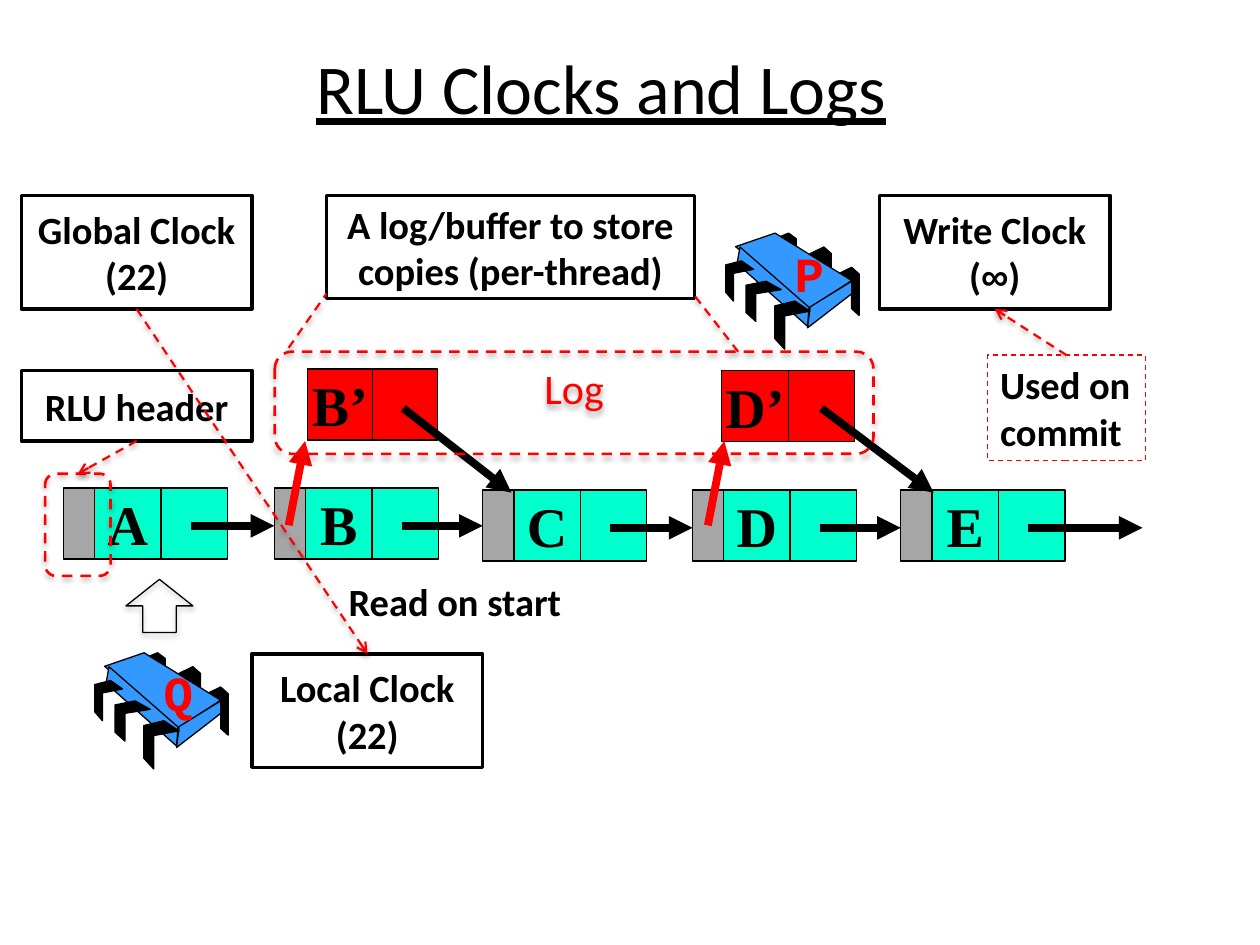
"""Build the slide that explains RLU clocks and logs."""
from dataclasses import dataclass
from typing import Optional

from lxml import etree
from pptx import Presentation
from pptx.dml.color import RGBColor
from pptx.enum.dml import MSO_LINE
from pptx.enum.shapes import MSO_CONNECTOR, MSO_SHAPE
from pptx.enum.text import MSO_ANCHOR, PP_ALIGN
from pptx.oxml.ns import qn
from pptx.util import Cm, Pt

BLACK = RGBColor(0x00, 0x00, 0x00)
RED = RGBColor(0xFF, 0x00, 0x00)
TEAL = RGBColor(0x00, 0xFF, 0xCC)
GRAY = RGBColor(0xA6, 0xA6, 0xA6)
BLUE = RGBColor(0x33, 0x99, 0xFF)

RECTANGLE, ROUNDED, UP_ARROW = MSO_SHAPE.RECTANGLE, MSO_SHAPE.ROUNDED_RECTANGLE, MSO_SHAPE.UP_ARROW
STRAIGHT, DASH = MSO_CONNECTOR.STRAIGHT, MSO_LINE.DASH
LEFT, CENTER = PP_ALIGN.LEFT, PP_ALIGN.CENTER
TOP, MIDDLE = MSO_ANCHOR.TOP, MSO_ANCHOR.MIDDLE
TOP_SIDE, BOTTOM_SIDE = 0, 2

HEADER_WIDTH, CELL_WIDTH, CELL_HEIGHT = 0.63, 1.34, 1.43
POINTER_X, POINTER_Y = 2.57, 0.76


@dataclass(frozen=True)
class Area:
    left: float
    top: float
    width: float
    height: float

    def lengths(self) -> tuple:
        return Cm(self.left), Cm(self.top), Cm(self.width), Cm(self.height)


@dataclass(frozen=True)
class TextStyle:
    size: float = 22
    name: str = "Calibri"
    color: RGBColor = BLACK
    bold: bool = True
    underline: bool = False
    alignment: int = CENTER
    anchor: int = MIDDLE
    wrap: bool = True


@dataclass(frozen=True)
class Outline:
    color: RGBColor = BLACK
    width: float = 0.75
    dashed: bool = False


@dataclass(frozen=True)
class ChipPart:
    points: tuple
    area: Area
    color: RGBColor = BLACK


@dataclass(frozen=True)
class Node:
    label: str
    left: float
    top: float
    pointer_end: float


BOX_STYLE = TextStyle()
NOTE_STYLE = TextStyle(alignment=LEFT, anchor=TOP, wrap=False)
NODE_STYLE = TextStyle(32, "Times New Roman", wrap=False)
CHIP_STYLE = TextStyle(28, "Courier New", RED, alignment=LEFT, anchor=TOP, wrap=False)
LOG_STYLE = TextStyle(24, color=RED, bold=False, anchor=TOP)
TITLE_STYLE = TextStyle(40, bold=False, underline=True)
THIN, BOX_LINE = Outline(), Outline(width=2)
RED_FRAME, RED_LINK = Outline(RED, 1.5, True), Outline(RED, 1.25, True)
POINTER, COPY_POINTER = Outline(width=4.5), Outline(RED, 4.5)

BACK_LEG = ((0, 0.14), (0.65, 0), (1, 0.14), (1, 1), (0.65, 0.86), (0.65, 0.28), (0, 0.42))
FRONT_LEG = ((0.57, 0), (1, 0.21), (0.28, 0.31), (0.28, 1), (0, 0.78), (0, 0.1))
CHIP_PARTS = (
    ChipPart(BACK_LEG, Area(2.26, 0.69, 0.43, 0.97)),
    ChipPart(BACK_LEG, Area(1.7, 0.28, 0.43, 0.97)),
    ChipPart(BACK_LEG, Area(0.99, 0, 0.43, 0.81)),
    ChipPart(((0.34, 0), (1, 0.63), (0.63, 1), (0, 0.18)), Area(0.2, 0, 2.34, 1.52), BLUE),
    ChipPart(((0.04, 0), (1, 0.76), (0.98, 1), (0, 0.21)), Area(0.23, 0.28, 1.45, 1.6), BLUE),
    ChipPart(((1, 0), (1, 0.27), (0, 1), (0.06, 0.55)), Area(1.65, 0.97, 0.89, 0.94), BLUE),
    ChipPart(FRONT_LEG, Area(0.99, 1.37, 0.71, 0.97)),
    ChipPart(FRONT_LEG, Area(0.41, 0.97, 0.71, 0.81)),
    ChipPart(FRONT_LEG, Area(0, 0.56, 0.56, 0.81)),
)
NODES = (
    Node("A", 1.28, 9.84, 5.53),
    Node("B", 5.53, 9.84, 9.73),
    Node("C", 9.73, 9.88, 13.96),
    Node("D", 13.96, 9.88, 18.16),
    Node("E", 18.16, 9.88, 23.03),
)


def write_text(shape, text: str, style: TextStyle) -> None:
    frame = shape.text_frame
    frame.word_wrap, frame.vertical_anchor = style.wrap, style.anchor
    for index, line in enumerate(text.split("\n")):
        paragraph = frame.add_paragraph() if index else frame.paragraphs[0]
        paragraph.alignment = style.alignment
        font = paragraph.font
        font.size, font.name = Pt(style.size), style.name
        font.bold, font.underline = style.bold, style.underline
        font.color.rgb = style.color
        for part in filter(None, line.partition("∞")):
            run = paragraph.add_run()
            run.text = part
            if part == "∞":
                run.font.name = "Arial"


def set_line(line, outline: Outline) -> None:
    line.color.rgb, line.width = outline.color, Pt(outline.width)
    if outline.dashed:
        line.dash_style = DASH


def add_shadow(effects, distance: int, alpha: int) -> None:
    shadow = etree.SubElement(effects, qn("a:outerShdw"), blurRad="40000", dist=str(distance),
                              dir="5400000", rotWithShape="0")
    color = etree.SubElement(shadow, qn("a:srgbClr"), val=str(BLACK))
    etree.SubElement(color, qn("a:alpha"), val=str(alpha))


def add_box(shapes, area: Area, outline: Outline, fill: Optional[RGBColor] = None, text: str = "",
            style: TextStyle = BOX_STYLE, kind: int = RECTANGLE, shadowed: bool = False):
    shape = shapes.add_shape(kind, *area.lengths())
    shape.shadow.inherit = False
    if fill is None:
        shape.fill.background()
    else:
        shape.fill.solid()
        shape.fill.fore_color.rgb = fill
    set_line(shape.line, outline)
    if shadowed:
        add_shadow(shape.element.spPr.find(qn("a:effectLst")), 23000, 35000)
    if text:
        write_text(shape, text, style)
    return shape


def add_label(shapes, area: Area, text: str, style: TextStyle) -> None:
    write_text(shapes.add_textbox(*area.lengths()), text, style)


def add_line(shapes, start: tuple, end: tuple, outline: Outline, head: str = "",):
    connector = shapes.add_connector(STRAIGHT, *map(Cm, start + end))
    set_line(connector.line, outline)
    properties = connector.element.spPr
    if head:
        etree.SubElement(properties.find(qn("a:ln")), qn("a:tailEnd"), type=head)
    effects = etree.SubElement(properties, qn("a:effectLst"))
    if outline.dashed:
        add_shadow(effects, 20000, 38000)
    return connector


def link_boxes(shapes, source, source_side: int, target, target_side: int) -> None:
    connector = add_line(shapes, (0, 0), (1, 1), RED_LINK, "arrow")
    connector.begin_connect(source, source_side)
    connector.end_connect(target, target_side)


def add_cells(shapes, left: float, top: float, width: float, label: str, fill: RGBColor) -> None:
    add_box(shapes, Area(left, top, width, CELL_HEIGHT), THIN, fill, label, NODE_STYLE)
    add_box(shapes, Area(left + width, top, width, CELL_HEIGHT), THIN, fill)


def add_node(shapes, node: Node) -> None:
    add_cells(shapes, node.left + HEADER_WIDTH, node.top, CELL_WIDTH, node.label, TEAL)
    add_box(shapes, Area(node.left, node.top, HEADER_WIDTH, CELL_HEIGHT), THIN, GRAY)
    y = node.top + POINTER_Y
    add_line(shapes, (node.left + POINTER_X, y), (node.pointer_end, y), POINTER, "triangle")


def add_chip(shapes, left: float, top: float, label: str) -> None:
    group = shapes.add_group_shape().shapes
    for part in CHIP_PARTS:
        area = part.area
        points = [(Cm(left + area.left + x * area.width), Cm(top + area.top + y * area.height))
                  for x, y in part.points]
        builder = group.build_freeform(*points[0])
        builder.add_line_segments(points[1:])
        shape = builder.convert_to_shape()
        shape.shadow.inherit = False
        shape.fill.solid()
        shape.fill.fore_color.rgb = part.color
        set_line(shape.line, Outline(width=0))
    add_label(group, Area(left + 1.14, top + 0.08, 1.12, 1.45), label, CHIP_STYLE)


def main() -> None:
    presentation = Presentation()
    presentation.slide_width, presentation.slide_height = Cm(25.4), Cm(19.05)
    shapes = presentation.slides.add_slide(presentation.slide_layouts[6]).shapes

    add_label(shapes, Area(0.69, 0.15, 22.86, 3.18), "RLU Clocks and Logs", TITLE_STYLE)
    for node in NODES:
        add_node(shapes, node)
    add_chip(shapes, 14.63, 4.7, "P")
    add_chip(shapes, 1.91, 13.16, "Q")
    add_box(shapes, Area(2.54, 11.68, 1.35, 1.07), THIN, kind=UP_ARROW, shadowed=True)

    add_cells(shapes, 6.2, 7.44, 1.31, "B’", RED)
    add_cells(shapes, 14.55, 7.47, CELL_WIDTH, "D’", RED)
    for start, end in (((8.13, 8.23), (10.31, 9.93)), ((16.56, 8.23), (18.82, 9.93))):
        add_line(shapes, start, end, POINTER, "triangle")
    for x in (5.82, 14.27):
        add_line(shapes, (x, 10.59), (x + 0.33, 8.89), COPY_POINTER, "triangle")

    add_box(shapes, Area(6.58, 3.94, 7.42, 2.08), BOX_LINE,
            text="A log/buffer to store copies (per-thread)")
    add_box(shapes, Area(5.54, 7.09, 12.07, 2.06), RED_FRAME, text="Log", style=LOG_STYLE,
            kind=ROUNDED, shadowed=True)
    add_line(shapes, (5.82, 7.01), (6.58, 5.92), RED_LINK)
    add_line(shapes, (14.88, 7.09), (13.97, 5.92), RED_LINK)

    header_frame = add_box(shapes, Area(0.91, 9.55, 1.32, 2.06), RED_FRAME, kind=ROUNDED,
                           shadowed=True)
    header_box, global_clock, local_clock, write_clock = (
        add_box(shapes, Area(left, top, 4.65, height), BOX_LINE, text=text)
        for left, top, height, text in (
            (0.43, 7.47, 1.42, "RLU header"),
            (0.43, 3.94, 2.29, "Global Clock (22)"),
            (5.08, 13.18, 2.29, "Local Clock\n(22)"),
            (17.73, 3.94, 2.29, "Write Clock\n(∞)"),
        ))
    commit_note = add_box(shapes, Area(19.91, 7.16, 3.18, 2.13), Outline(RED, 0.75, True),
                          text="Used on\ncommit", style=NOTE_STYLE)
    link_boxes(shapes, header_box, BOTTOM_SIDE, header_frame, TOP_SIDE)
    link_boxes(shapes, global_clock, BOTTOM_SIDE, local_clock, TOP_SIDE)
    link_boxes(shapes, commit_note, TOP_SIDE, write_clock, BOTTOM_SIDE)
    add_label(shapes, Area(6.78, 11.53, 4.9, 1.19), "Read on start", NOTE_STYLE)
    presentation.save("out.pptx")


if __name__ == "__main__":
    main()
